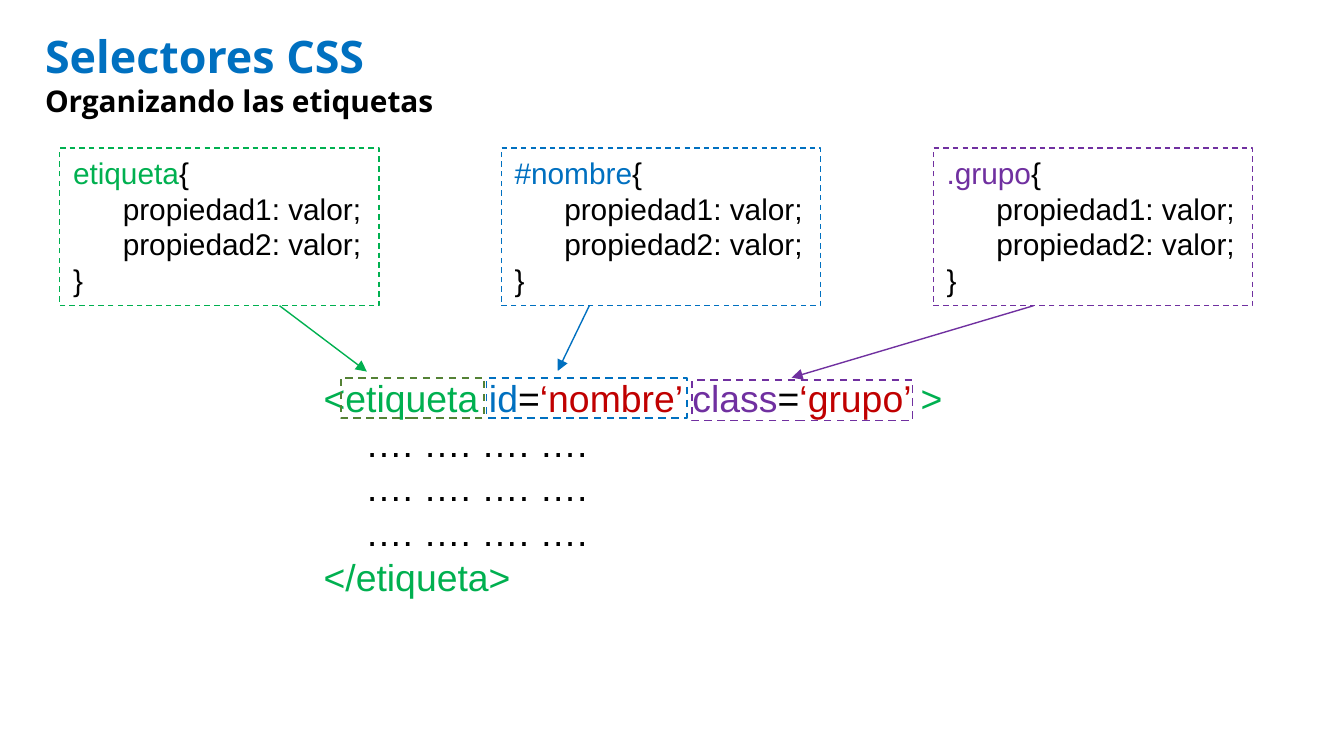
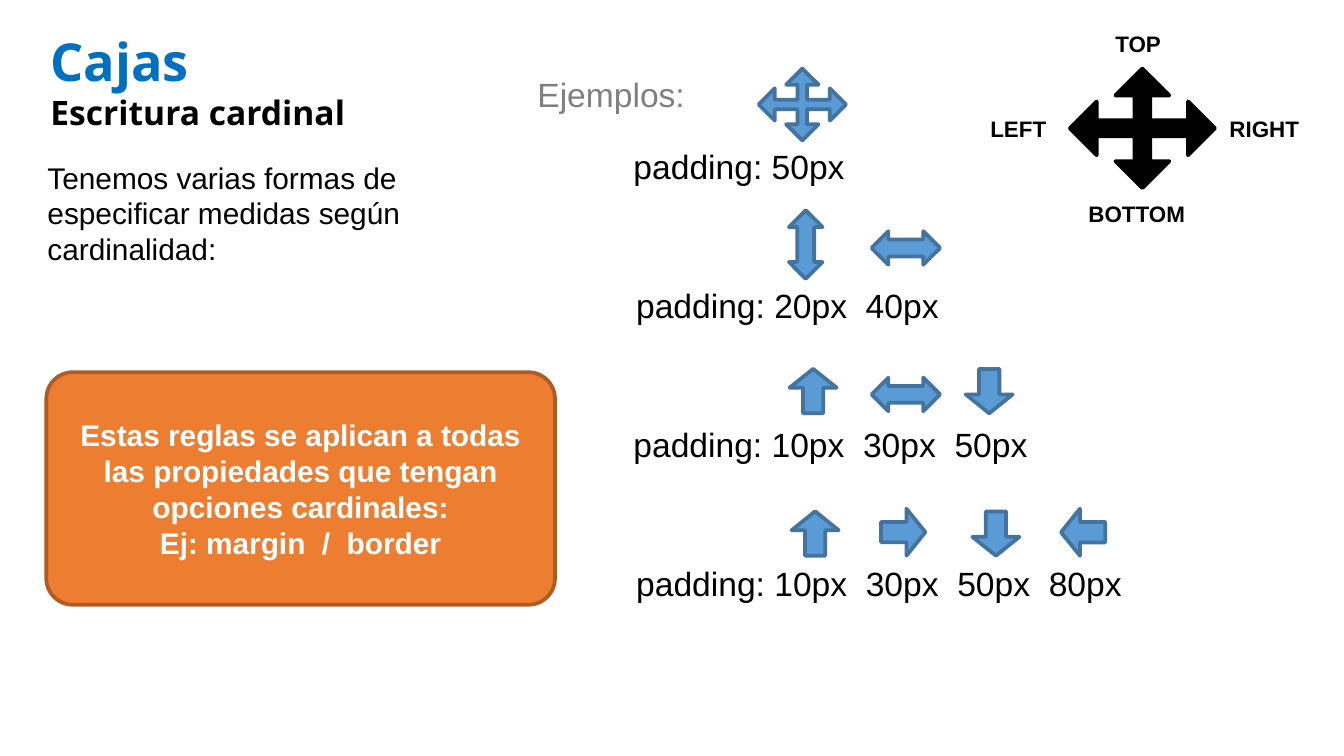
import lxml.etree
import pptx
import pptx.dml.color
import pptx.enum.dml
import pptx.enum.shapes
import pptx.enum.text
import pptx.oxml.ns
import pptx.util

RGB = pptx.dml.color.RGBColor
KIND = pptx.enum.shapes.MSO_SHAPE
ALIGN = pptx.enum.text.PP_ALIGN
ANCHOR = pptx.enum.text.MSO_ANCHOR
qn = pptx.oxml.ns.qn

PX = 4572
BLACK = RGB(0, 0, 0)
WHITE = RGB(255, 255, 255)
GRAY = RGB(0x80, 0x80, 0x80)
GREEN = RGB(0x00, 0xB0, 0x50)
DARK_GREEN = RGB(0x54, 0x82, 0x35)
BLUE = RGB(0x00, 0x70, 0xC0)
PURPLE = RGB(0x70, 0x30, 0xA0)
RED = RGB(0xC0, 0x00, 0x00)
ARROW_BLUE = RGB(0x5B, 0x9B, 0xD5)
ARROW_EDGE = RGB(0x43, 0x73, 0x9E)
ORANGE = RGB(0xED, 0x7D, 0x31)
ORANGE_EDGE = RGB(0xAF, 0x5C, 0x24)


def write(shape, paragraphs, size=16, color=BLACK, bold=False, font="Arial", align=ALIGN.LEFT,
          anchor=ANCHOR.TOP, wrap=False, indent=0, indented=()):
    frame = shape.text_frame
    frame.word_wrap = wrap
    frame.vertical_anchor = anchor
    for index, runs in enumerate(paragraphs):
        paragraph = frame.paragraphs[0] if index == 0 else frame.add_paragraph()
        paragraph.alignment = align
        if index in indented:
            paragraph._p.get_or_add_pPr().set("marL", str(indent * PX))
        for words, *look in [(runs,)] if isinstance(runs, str) else runs:
            run = paragraph.add_run()
            run.text = words
            run.font.name = font
            run.font.bold = bold
            run.font.color.rgb = look[0] if look else color
            run.font.size = pptx.util.Pt(look[1] if len(look) > 1 else size)


def draw(slide, kind, box, edge, width, fill=None, dashed=False, turn=0, adjust=()):
    shape = slide.shapes.add_shape(kind, *[PX * v for v in box])
    shape.shadow.inherit = False
    shape.rotation = turn
    for index, value in enumerate(adjust):
        shape.adjustments[index] = value
    if fill is None:
        shape.fill.background()
    else:
        shape.fill.solid()
        shape.fill.fore_color.rgb = fill
    shape.line.color.rgb = edge
    shape.line.width = pptx.util.Pt(width)
    if dashed:
        shape.line.dash_style = pptx.enum.dml.MSO_LINE.DASH
    return shape


deck = pptx.Presentation()
deck.slide_width = 2000 * PX
deck.slide_height = 1125 * PX

slides = []
for box, heading, heading_size, subheading, subheading_size in [
    ((47, 33, 638, 154), "Selectores CSS", 24, "Organizando las etiquetas", 16),
    ((55, 34, 486, 176), "Cajas", 28, "Escritura cardinal", 18),
]:
    slide = deck.slides.add_slide(deck.slide_layouts[5])
    title = slide.shapes.title
    title.left, title.top, title.width, title.height = [PX * v for v in box]
    write(title, [[(heading, BLUE, heading_size)], [(subheading, BLACK, subheading_size)]],
          font="Open Sans", bold=True)
    slides.append(slide)
selectors, boxes = slides

for left, selector, color in [(89, "etiqueta", GREEN), (746, "#nombre", BLUE), (1389, ".grupo", PURPLE)]:
    rule = draw(selectors, KIND.RECTANGLE, (left, 220, 475, 235), color, 0.75, dashed=True)
    write(rule, [[(selector, color), ("{",)], "propiedad1: valor;", "propiedad2: valor;", "}"],
          indent=74, indented=(1, 2))

markup = selectors.shapes.add_textbox(*[PX * v for v in (462, 548, 1292, 356)])
opening_tag = [("<etiqueta ", GREEN), ("id", BLUE), ("=",), ("‘nombre’ ", RED),
               ("class", PURPLE), ("=",), ("‘grupo’ ", RED), (">", GREEN)]
write(markup, [opening_tag] + ["…. …. …. …."] * 3 + [[("</etiqueta>", GREEN)]],
      size=20, wrap=True, indent=62, indented=(1, 2, 3))

for ends, color in [((416, 455, 546, 553), GREEN), ((877, 455, 830, 552), BLUE), ((1538, 455, 1178, 562), PURPLE)]:
    pointer = selectors.shapes.add_connector(pptx.enum.shapes.MSO_CONNECTOR.STRAIGHT, *[PX * v for v in ends])
    pointer.line.color.rgb = color
    pointer.line.width = pptx.util.Pt(0.75)
    properties = pointer._element.spPr
    lxml.etree.SubElement(properties.find(qn("a:ln")), qn("a:tailEnd"), type="triangle")
    lxml.etree.SubElement(properties, qn("a:effectLst"))

for box, color in [((507, 562, 214, 60), DARK_GREEN), ((724, 562, 298, 60), BLUE), ((1030, 566, 328, 60), PURPLE)]:
    draw(selectors, KIND.RECTANGLE, box, color, 1, dashed=True)

introduction = boxes.shapes.add_textbox(*[PX * v for v in (51, 227, 720, 182)])
write(introduction, ["Tenemos varias formas de especificar medidas según cardinalidad:"], wrap=True)

for box, words, size, color, bold in [
    ((780, 100, 262, 80), "Ejemplos:", 18, GRAY, False),
    ((923, 208, 358, 80), "padding: 50px", 18, BLACK, False),
    ((927, 414, 494, 80), "padding: 20px  40px", 18, BLACK, False),
    ((923, 621, 632, 80), "padding: 10px  30px  50px", 18, BLACK, False),
    ((927, 828, 770, 80), "padding: 10px  30px  50px  80px", 18, BLACK, False),
    ((1640, 35, 110, 60), "TOP", 12, BLACK, True),
    ((1600, 288, 184, 60), "BOTTOM", 12, BLACK, True),
    ((1454, 162, 124, 60), "LEFT", 12, BLACK, True),
    ((1810, 162, 146, 60), "RIGHT", 12, BLACK, True),
]:
    label = boxes.shapes.add_textbox(*[PX * v for v in box])
    write(label, [words], size=size, color=color, bold=bold)

for box, fill, edge in [((1129, 102, 130, 107), ARROW_BLUE, ARROW_EDGE), ((1592, 102, 216, 178), BLACK, BLACK)]:
    draw(boxes, KIND.QUAD_ARROW, box, edge, 2, fill=fill, adjust=(0.133, 0.225, 0.225))

for left, top, turn in [(1174, 313, 0), (1323, 318, 270), (1323, 536, 270)]:
    draw(boxes, KIND.UP_DOWN_ARROW, (left, top, 50, 102), ARROW_EDGE, 2, fill=ARROW_BLUE, turn=turn)

for left, top, turn in [(1175, 549, 0), (1437, 549, 180),
                        (1178, 761, 0), (1309, 759, 90), (1447, 761, 180), (1577, 759, 270)]:
    draw(boxes, KIND.UP_ARROW, (left, top, 70, 66), ARROW_EDGE, 2, fill=ARROW_BLUE, turn=turn,
         adjust=(0.431, 0.427))

note = draw(boxes, KIND.ROUNDED_RECTANGLE, (69, 554, 757, 346), ORANGE_EDGE, 2, fill=ORANGE, adjust=(0.114,))
write(note, ["Estas reglas se aplican a todas las propiedades que tengan opciones cardinales:",
             "Ej: margin  /  border"],
      color=WHITE, bold=True, align=ALIGN.CENTER, anchor=ANCHOR.MIDDLE, wrap=True)

deck.save("out.pptx")
